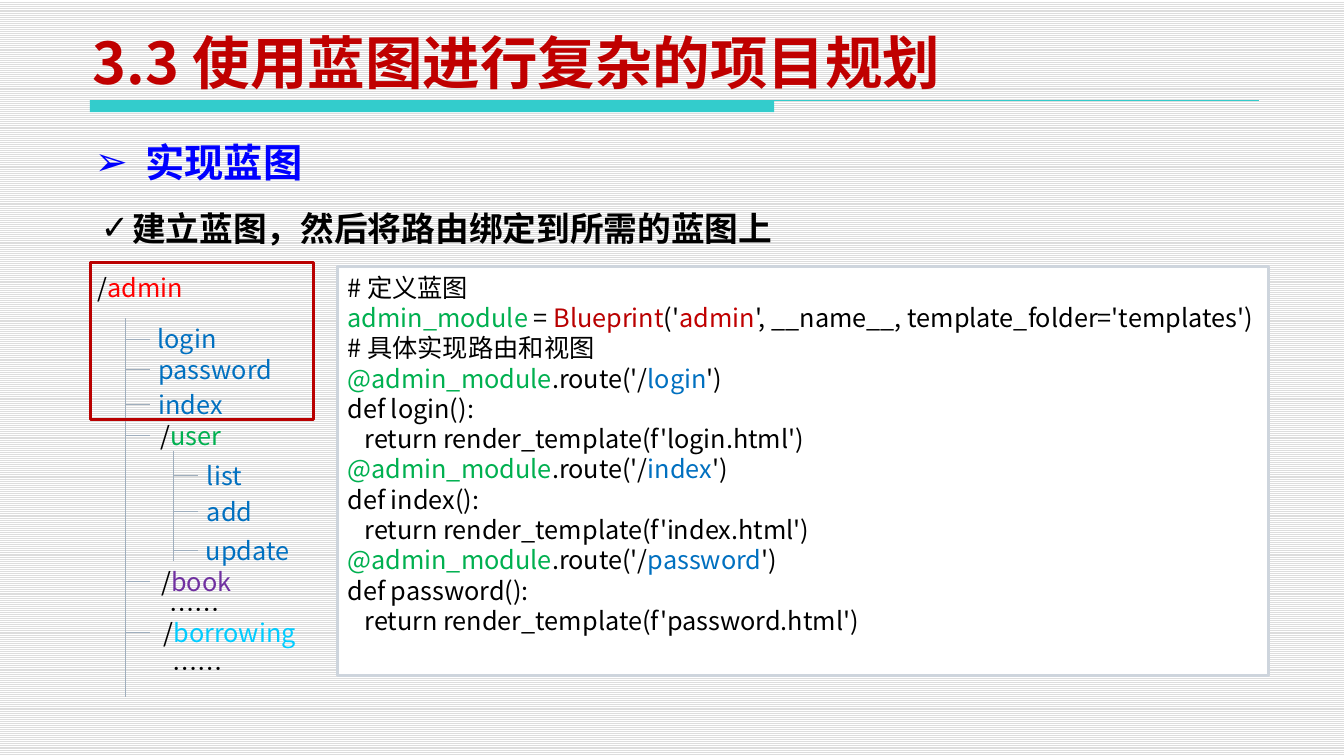
from lxml import etree
from pptx import Presentation
from pptx.dml.color import RGBColor
from pptx.enum.dml import MSO_PATTERN
from pptx.enum.shapes import MSO_CONNECTOR, MSO_SHAPE
from pptx.enum.text import MSO_ANCHOR
from pptx.oxml.ns import qn
from pptx.util import Inches, Pt

STRAIGHT = MSO_CONNECTOR.STRAIGHT
RECTANGLE = MSO_SHAPE.RECTANGLE
LIGHT_HORIZONTAL = MSO_PATTERN.LIGHT_HORIZONTAL
TOP, BOTTOM = MSO_ANCHOR.TOP, MSO_ANCHOR.BOTTOM

CJK_FONT = "Noto Sans CJK SC"
HEADING_FONT = "DejaVu Sans"

BLACK = RGBColor(0x00, 0x00, 0x00)
WHITE = RGBColor(0xFF, 0xFF, 0xFF)
STRIPE = RGBColor(0xDD, 0xDD, 0xDD)
TEAL = RGBColor(0x33, 0xCC, 0xCC)
DARK_RED = RGBColor(0xC0, 0x00, 0x00)
FRAME_RED = RGBColor(0xB9, 0x00, 0x00)
RED = RGBColor(0xFF, 0x00, 0x00)
HEADING_BLUE = RGBColor(0x00, 0x00, 0xFF)
BLUE = RGBColor(0x00, 0x70, 0xC0)
GREEN = RGBColor(0x00, 0xB0, 0x50)
PURPLE = RGBColor(0x70, 0x30, 0xA0)
CYAN = RGBColor(0x00, 0xCC, 0xFF)
TREE_GREY = RGBColor(0x9F, 0xAE, 0xBD)
PANEL_GREY = RGBColor(0xCE, 0xD5, 0xDD)

# Tree entries: left, top, (text, colour) runs
BRANCHES = [
    (0.87, 2.64, [("/", BLACK), ("admin", RED)]),
    (1.49, 4.11, [("/", BLACK), ("user", GREEN)]),
    (1.5, 5.55, [("/", BLACK), ("book", PURPLE)]),
    (1.52, 6.06, [("/", BLACK), ("borrowing", CYAN)]),
    (1.46, 3.15, [("login", BLUE)]),
    (1.47, 3.46, [("password", BLUE)]),
    (1.47, 3.8, [("index", BLUE)]),
    (1.95, 4.5, [("list", BLUE)]),
    (1.95, 4.86, [("add", BLUE)]),
    (1.94, 5.25, [("update", BLUE)]),
    (1.58, 5.83, [("……", BLACK)]),
    (1.61, 6.41, [("……", BLACK)]),
]
# Tree trunks: x, top, bottom, heights of the stubs
TRUNKS = [
    (1.24, 3.15, 6.9, [3.36, 3.66, 4, 4.31, 5.75, 6.26]),
    (1.72, 4.46, 5.55, [4.7, 5.06, 5.45]),
]
STUB = 0.24


def write_lines(tf, lines, size, font=CJK_FONT, bold=False, leading=1.2):
    """Fill a frame with one paragraph per list of (text, colour) runs."""
    tf.word_wrap = True
    for i, runs in enumerate(lines):
        p = tf.paragraphs[0] if i == 0 else tf.add_paragraph()
        p.line_spacing = Pt(size * leading)
        for text, color in runs:
            r = p.add_run()
            r.text = text
            r.font.size = Pt(size)
            r.font.bold = bold
            r.font.name = font
            r.font.color.rgb = color
            ea = etree.Element(qn("a:ea"), typeface=CJK_FONT)
            r.font._element.find(qn("a:latin")).addnext(ea)


def add_text(shapes, left, top, width, height, runs, size, **style):
    box = shapes.add_textbox(Inches(left), Inches(top), Inches(width), Inches(height))
    write_lines(box.text_frame, [runs], size, **style)
    return box


def add_bullet(p, char, indent):
    pPr = p._p.get_or_add_pPr()
    pPr.set("marL", str(Inches(indent)))
    pPr.set("indent", str(-Inches(indent)))
    etree.SubElement(pPr, qn("a:buFont"), typeface=HEADING_FONT)
    etree.SubElement(pPr, qn("a:buChar"), char=char)


def add_line(shapes, x1, y1, x2, y2, color):
    line = shapes.add_connector(STRAIGHT, Inches(x1), Inches(y1), Inches(x2), Inches(y2))
    line.line.color.rgb = color
    line.line.width = Pt(0.75)
    etree.SubElement(line._element.spPr, qn("a:effectLst"))


def add_box(shapes, left, top, width, height, fill=None, outline=None):
    box = shapes.add_shape(RECTANGLE, Inches(left), Inches(top), Inches(width), Inches(height))
    box.shadow.inherit = False
    if fill is None:
        box.fill.background()
    else:
        box.fill.solid()
        box.fill.fore_color.rgb = fill
    if outline is None:
        box.line.fill.background()
    else:
        box.line.color.rgb = outline
        box.line.width = Pt(2)
    return box


def view_code(name):
    """Code lines of one route and its view function."""
    return [
        [("@admin_module", GREEN), (".route('/", BLACK), (name, BLUE), ("')", BLACK)],
        [(f"def {name}():", BLACK)],
        [(f"   return render_template(f'{name}.html')", BLACK)],
    ]


def add_code_panel(shapes):
    lines = [
        [("# 定义蓝图", BLACK)],
        [("admin_module ", GREEN), ("= ", BLACK), ("Blueprint", FRAME_RED), ("('", BLACK),
         ("admin", DARK_RED), ("', __name__, template_folder='templates')", BLACK)],
        [("# 具体实现路由和视图", BLACK)],
    ]
    for name in ("login", "index", "password"):
        lines += view_code(name)
    panel = add_box(shapes, 3.34, 2.64, 9.21, 4.04, WHITE, PANEL_GREY)
    tf = panel.text_frame
    tf.vertical_anchor = TOP
    tf.margin_right = Inches(0.02)
    write_lines(tf, lines, 18)
    for p in tf.paragraphs:
        p.alignment = 1


def add_route_tree(shapes):
    tree = shapes.add_group_shape().shapes
    for left, top, runs in BRANCHES:
        add_text(tree, left, top, 1.73, 0.4, runs, 18)
    for x, top, bottom, stubs in TRUNKS:
        add_line(tree, x, top, x, bottom, TREE_GREY)
        for y in stubs:
            add_line(tree, x, y, x + STUB, y, TREE_GREY)


def main():
    prs = Presentation()
    prs.slide_width, prs.slide_height = Inches(13.3), Inches(7.48)
    s = prs.slides.add_slide(prs.slide_layouts[6])
    fill = s.background.fill
    fill.patterned()
    fill.pattern = LIGHT_HORIZONTAL
    fill.fore_color.rgb = STRIPE
    fill.back_color.rgb = WHITE

    add_box(s.shapes, 0.89, 0.99, 6.77, 0.12, TEAL)
    add_line(s.shapes, 0.89, 0.99, 12.46, 0.99, TEAL)
    title = add_text(s.shapes, 0.82, 0.31, 9.69, 0.69,
                     [("3.3 使用蓝图进行复杂的项目规划", DARK_RED)], 41, bold=True)
    title.text_frame.vertical_anchor = BOTTOM

    heading = add_text(s.shapes, 0.84, 1.28, 8.5, 0.58, [("实现蓝图", HEADING_BLUE)],
                       28, font=HEADING_FONT, bold=True, leading=1.3)
    add_bullet(heading.text_frame.paragraphs[0], "➢", 0.5)
    point = add_text(s.shapes, 0.9, 1.97, 11.58, 0.5,
                     [("建立蓝图，然后将路由绑定到所需的蓝图上", BLACK)],
                     24, font=HEADING_FONT, bold=True, leading=1.3)
    add_bullet(point.text_frame.paragraphs[0], "✓", 0.31)

    add_code_panel(s.shapes)
    add_route_tree(s.shapes)
    add_box(s.shapes, 0.9, 2.6, 2.2, 1.55, outline=FRAME_RED)
    prs.save("out.pptx")


if __name__ == "__main__":
    main()
